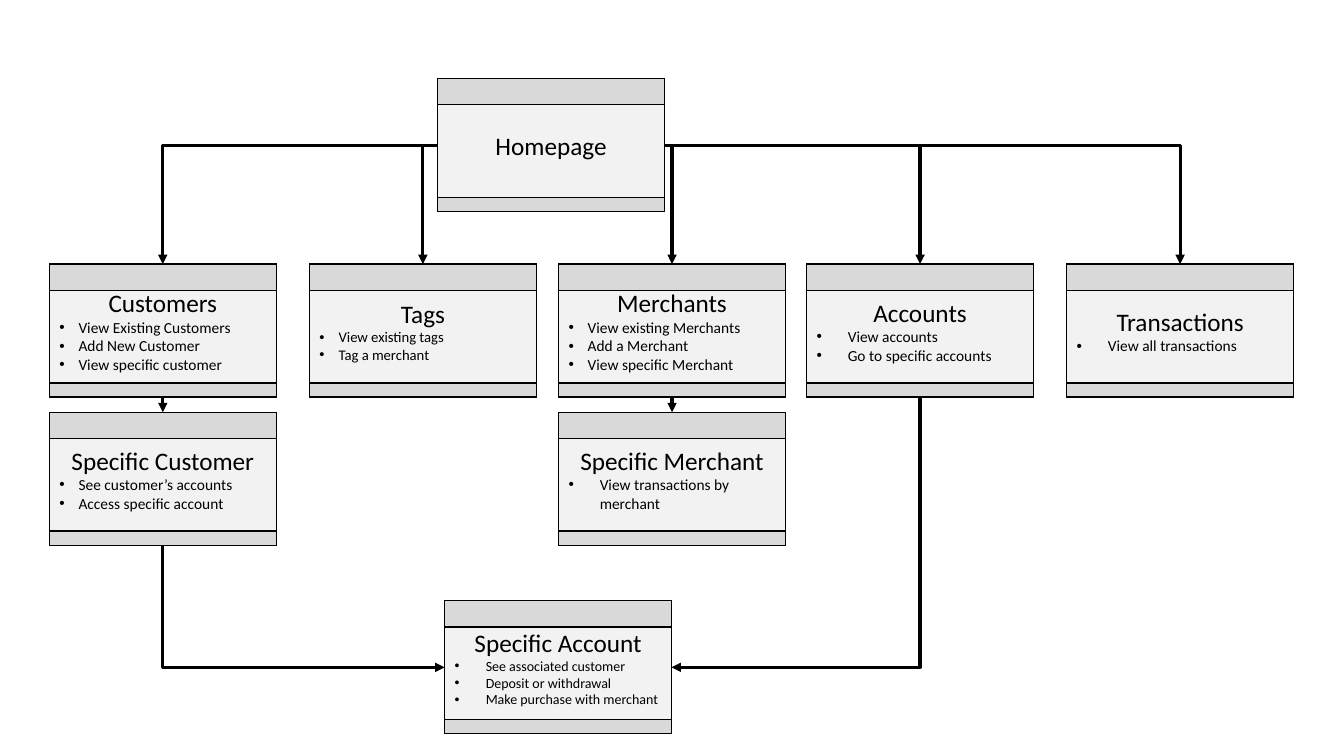
"""Build a site map slide that links the homepage to the pages below it."""
from lxml.etree import SubElement
from pptx import Presentation
from pptx.dml.color import RGBColor
from pptx.enum.shapes import MSO_CONNECTOR, MSO_SHAPE
from pptx.enum.text import MSO_ANCHOR, PP_ALIGN
from pptx.oxml.ns import qn
from pptx.util import Inches, Pt

BLACK = RGBColor(0x00, 0x00, 0x00)
PALE = RGBColor(0xF2, 0xF2, 0xF2)
GRAY = RGBColor(0xD9, 0xD9, 0xD9)
WIDE, HIGH = 2.25, 1.32
TOP, BAR = 0.26, 0.14
ROW, NEXT = 2.62, 4.09


def write(para, text, size=18, align=PP_ALIGN.CENTER, indent=None):
    run = para.add_run()
    run.text = text
    run.font.size = Pt(size)
    run.font.name = "Calibri"
    run.font.color.rgb = BLACK
    para.alignment = align
    if indent:
        props = para._p.get_or_add_pPr()
        props.set("marL", str(Inches(indent)))
        props.set("indent", str(Inches(-indent)))
        SubElement(props, qn("a:buFont")).set("typeface", "Arial")
        SubElement(props, qn("a:buChar")).set("char", "•")


def link(start, end, down=False):
    (x1, y1), (x2, y2) = start, end
    kind = MSO_CONNECTOR.STRAIGHT if x1 == x2 else MSO_CONNECTOR.ELBOW
    if down:
        mid_x, mid_y = (x1 + x2) / 2, (y1 + y2) / 2
        half_x, half_y = (x2 - x1) / 2, (y2 - y1) / 2
        x1, x2 = mid_x - half_y, mid_x + half_y
        y1, y2 = mid_y + half_x, mid_y - half_x
    line = slide.shapes.add_connector(kind, Inches(x1), Inches(y1), Inches(x2), Inches(y2))
    line.line.color.rgb = BLACK
    line.line.width = Pt(2.25)
    props = line._element.spPr
    if kind == MSO_CONNECTOR.ELBOW:
        props.find(qn("a:prstGeom")).set("prst", "bentConnector2")
    if down:
        props.find(qn("a:xfrm")).set("rot", "5400000")
    SubElement(props.find(qn("a:ln")), qn("a:tailEnd")).set("type", "triangle")
    SubElement(props, qn("a:effectLst"))


deck = Presentation()
deck.slide_width, deck.slide_height = Inches(13.33), Inches(7.5)
slide = deck.slides.add_slide(deck.slide_layouts[6])

cards = [
    ("Homepage", 4.34, 0.78, 11, 0.19, []),
    ("Accounts", 8, ROW, 11, 0.31, ["View accounts", "Go to specific accounts"]),
    ("Specific Merchant", 5.54, NEXT, 11, 0.31, ["View transactions by merchant"]),
    ("Merchants", 5.54, ROW, 11, 0.19,
     ["View existing Merchants", "Add a Merchant", "View specific Merchant"]),
    ("Tags", 3.07, ROW, 10.5, 0.19, ["View existing tags", "Tag a merchant"]),
    ("Customers", 0.49, ROW, 11, 0.19,
     ["View Existing Customers", "Add New Customer", "View specific customer"]),
    ("Transactions", 10.58, ROW, 11, 0.31, ["View all transactions"]),
    ("Specific Customer", 0.49, NEXT, 11, 0.19,
     ["See customer’s accounts", "Access specific account"]),
    ("Specific Account", 4.41, 5.96, 10, 0.31,
     ["See associated customer", "Deposit or withdrawal", "Make purchase with merchant"]),
]

ports = {}
for name, x, y, size, indent, items in cards:
    group = slide.shapes.add_group_shape()
    parts = []
    for drop, tall, fill in ((0, HIGH, PALE), (0, TOP, GRAY), (HIGH - BAR, BAR, GRAY)):
        part = group.shapes.add_shape(
            MSO_SHAPE.RECTANGLE, Inches(x), Inches(y + drop), Inches(WIDE), Inches(tall))
        part.shadow.inherit = False
        part.fill.solid()
        part.fill.fore_color.rgb = fill
        part.line.color.rgb = BLACK
        part.line.width = Pt(1)
        parts.append(part)
    frame = parts[0].text_frame
    frame.word_wrap = True
    frame.vertical_anchor = MSO_ANCHOR.MIDDLE
    write(frame.paragraphs[0], name)
    for item in items:
        write(frame.add_paragraph(), item, size=size, align=PP_ALIGN.LEFT, indent=indent)
    mid_x, mid_y = x + WIDE / 2, y + HIGH / 2
    ports[name] = {"left": (x, mid_y), "right": (x + WIDE, mid_y),
                   "top": (mid_x, y), "base": (mid_x, y + HIGH)}

home = ports["Homepage"]
for side, names in (("left", ["Tags", "Customers"]),
                    ("right", ["Merchants", "Accounts", "Transactions"])):
    for name in names:
        link(home[side], ports[name]["top"])

for name, child in (("Merchants", "Specific Merchant"), ("Customers", "Specific Customer")):
    link(ports[name]["base"], ports[child]["top"])

for name, side in (("Accounts", "right"), ("Specific Customer", "left")):
    link(ports[name]["base"], ports["Specific Account"][side], down=True)

deck.save("out.pptx")
